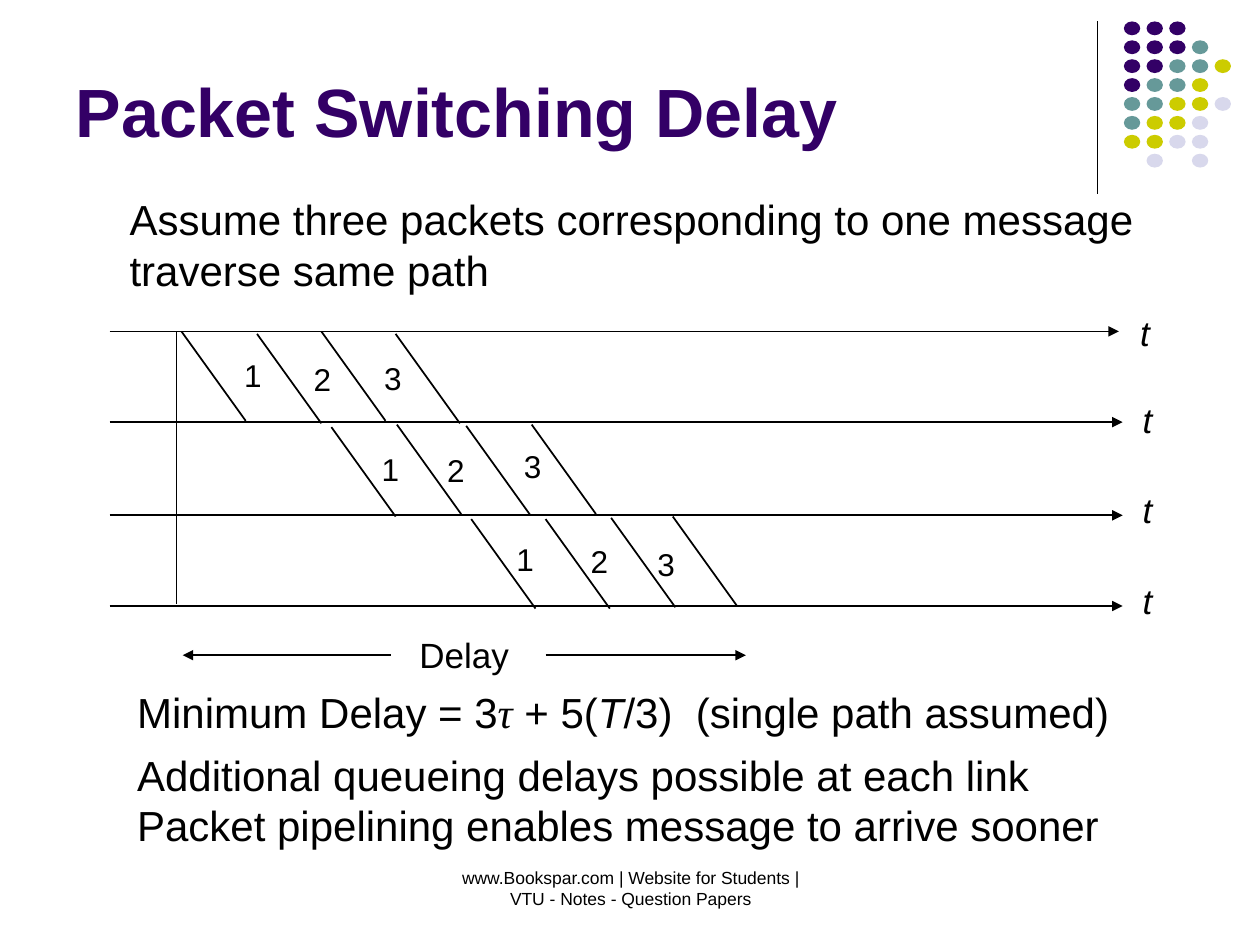
from typing import NamedTuple

from lxml import etree
from pptx import Presentation
from pptx.dml.color import RGBColor
from pptx.enum.shapes import MSO_CONNECTOR, MSO_SHAPE
from pptx.enum.text import MSO_ANCHOR, MSO_AUTO_SIZE, PP_ALIGN
from pptx.oxml.ns import qn
from pptx.util import Inches, Pt

STRAIGHT = MSO_CONNECTOR.STRAIGHT
ELLIPSE = MSO_SHAPE.OVAL
LEFT, CENTER = PP_ALIGN.LEFT, PP_ALIGN.CENTER
TOP, BOTTOM = MSO_ANCHOR.TOP, MSO_ANCHOR.BOTTOM
FIT, FIXED = MSO_AUTO_SIZE.SHAPE_TO_FIT_TEXT, MSO_AUTO_SIZE.NONE

BLACK, PURPLE = "000000", "330066"
DOT_COLORS = {"P": PURPLE, "T": "669999", "Y": "CCCC00", "L": "D8D8EC"}
DOT_ROWS = ["PPP", "PPPT", "PPTTY", "PTTY", "TTYYL", "TYYL", "YYLL", " L L"]


class Box(NamedTuple):
    left: float
    top: float
    width: float
    height: float


class Run(NamedTuple):
    text: str
    italic: bool = False
    font: str = "Arial"


class TimeAxis(NamedTuple):
    y: float
    end: float
    label_left: float
    label_top: float


class Hop(NamedTuple):
    edges: list[tuple[float, float]]
    labels: list[tuple[float, float]]


AXES = [
    TimeAxis(2.63, 8.88, 8.95, 2.42),
    TimeAxis(3.35, 8.91, 8.97, 3.11),
    TimeAxis(4.09, 8.91, 8.97, 3.83),
    TimeAxis(4.81, 8.91, 8.97, 4.55),
]
HOPS = [
    Hop([(1.44, 2.63), (2.04, 2.65), (2.55, 2.63), (3.14, 2.65)],
        [(1.84, 2.78), (2.39, 2.81), (2.95, 2.80)]),
    Hop([(2.63, 3.39), (3.15, 3.37), (3.70, 3.38), (4.22, 3.37)],
        [(2.93, 3.52), (3.45, 3.53), (4.06, 3.50)]),
    Hop([(3.74, 4.12), (4.33, 4.12), (4.85, 4.11), (5.34, 4.10)],
        [(4.00, 4.24), (4.59, 4.25), (5.12, 4.28)]),
]
EDGE_RUN, EDGE_DROP = 0.51, 0.71


def color(value: str) -> RGBColor:
    return RGBColor.from_string(value)


def write_text(shape, paragraphs: list[list[Run]], *, size: float, fill: str = BLACK,
               bold: bool = False, align=LEFT, anchor=TOP, wrap: bool = True,
               auto_size=FIT) -> None:
    frame = shape.text_frame
    frame.word_wrap = wrap
    frame.auto_size = auto_size
    frame.vertical_anchor = anchor
    for index, runs in enumerate(paragraphs):
        paragraph = frame.paragraphs[0] if index == 0 else frame.add_paragraph()
        paragraph.alignment = align
        for item in runs:
            run = paragraph.add_run()
            run.text = item.text
            run.font.name = item.font
            run.font.size = Pt(size)
            run.font.bold = bold
            run.font.italic = item.italic
            run.font.color.rgb = color(fill)


def add_text(slide, box: Box, *paragraphs: list[Run], **text_format) -> None:
    shape = slide.shapes.add_textbox(*map(Inches, box))
    write_text(shape, list(paragraphs), **text_format)


def add_line(slide, start: tuple[float, float], end: tuple[float, float],
             *, width: float = 1, arrow: bool = False) -> None:
    connector = slide.shapes.add_connector(STRAIGHT, *map(Inches, (*start, *end)))
    connector.line.color.rgb = color(BLACK)
    connector.line.width = Pt(width)
    if arrow:
        line = connector.line._get_or_add_ln()
        etree.SubElement(line, qn("a:tailEnd"), type="triangle")
    etree.SubElement(connector._element.spPr, qn("a:effectLst"))


def add_corner_dots(slide) -> None:
    add_line(slide, (8.71, 0.17), (8.71, 1.54), width=0.75)
    for row, codes in enumerate(DOT_ROWS):
        for column, code in enumerate(codes):
            if code == " ":
                continue
            box = Box(8.92 + column * 0.18, 0.17 + row * 0.15, 0.13, 0.11)
            dot = slide.shapes.add_shape(ELLIPSE, *map(Inches, box))
            dot.shadow.inherit = False
            dot.fill.solid()
            dot.fill.fore_color.rgb = color(DOT_COLORS[code])
            dot.line.fill.background()


def add_timing_diagram(slide) -> None:
    for axis in AXES:
        add_line(slide, (0.87, axis.y), (axis.end, axis.y), arrow=True)
        add_text(slide, Box(axis.label_left, axis.label_top, 0.28, 0.43),
                 [Run("t", italic=True)], size=20, wrap=False)
    add_line(slide, (1.4, 2.63), (1.4, 4.79))
    for hop in HOPS:
        for x, y in hop.edges:
            add_line(slide, (x, y), (x + EDGE_RUN, y + EDGE_DROP))
        for number, (left, top) in enumerate(hop.labels, start=1):
            add_text(slide, Box(left, top, 0.34, 0.4), [Run(str(number))],
                     size=18, wrap=False)
    add_line(slide, (3.1, 5.2), (1.45, 5.2), arrow=True)
    add_line(slide, (4.33, 5.2), (5.92, 5.2), arrow=True)
    add_text(slide, Box(3.23, 4.98, 0.91, 0.43), [Run("Delay")], size=20, wrap=False)


def add_title(slide, text: str) -> None:
    title = slide.shapes.title
    title.left, title.top, title.width, title.height = map(
        Inches, Box(0.5, 0.13, 8.25, 1.12))
    write_text(title, [[Run(text)]], size=39, fill=PURPLE, bold=True,
               anchor=BOTTOM, auto_size=FIXED)


def main() -> None:
    presentation = Presentation()
    presentation.slide_width, presentation.slide_height = Inches(10), Inches(7.5)
    slide = presentation.slides.add_slide(presentation.slide_layouts.get_by_name("Title Only"))
    add_corner_dots(slide)
    add_timing_diagram(slide)
    add_text(slide, Box(0.99, 5.4, 8.2, 0.5),
             [Run("Minimum Delay = 3"), Run("τ", True, "Times New Roman"), Run(" + 5("),
              Run("T", True), Run("/3)  (single path assumed)")],
             size=24)
    add_text(slide, Box(0.99, 5.9, 8.2, 0.9),
             [Run("Additional queueing delays possible at each link")],
             [Run("Packet pipelining enables message to arrive sooner")],
             size=24)
    add_title(slide, "Packet Switching Delay")
    add_text(slide, Box(0.93, 1.49, 8.37, 0.9),
             [Run("Assume three packets corresponding to one message traverse same path")],
             size=24)
    add_text(slide, Box(3.42, 6.83, 3.17, 0.5),
             [Run("www.Bookspar.com | Website for Students | VTU - Notes - Question Papers")],
             size=10, align=CENTER, auto_size=FIXED)
    presentation.save("out.pptx")


if __name__ == "__main__":
    main()
